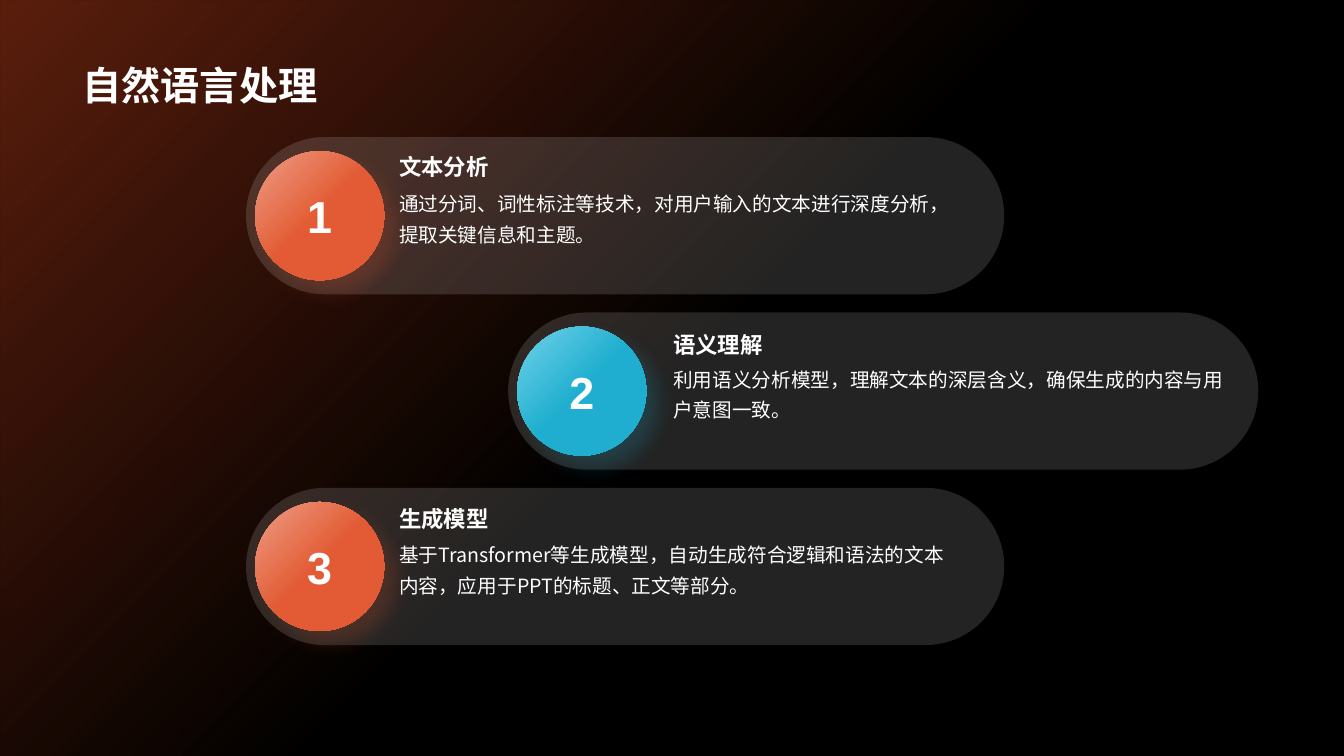
from lxml.etree import SubElement
from pptx import Presentation
from pptx.dml.color import RGBColor
from pptx.enum.shapes import MSO_SHAPE as Shape
from pptx.enum.text import MSO_ANCHOR as Anchor, PP_ALIGN as Align
from pptx.oxml.ns import qn
from pptx.util import Inches, Pt

CJK_FONT = "Noto Sans CJK SC"
ORANGE = ("EE9D85", "E25B34")
BLUE = ("71D3EA", "1FAECF")
STEPS = [
    ("文本分析", "通过分词、词性标注等技术，对用户输入的文本进行深度分析，提取关键信息和主题。",
     ORANGE, 2.44, 7.52, 1.42, 0.11),
    ("语义理解", "利用语义分析模型，理解文本的深层含义，确保生成的内容与用户意图一致。",
     BLUE, 5.04, 7.44, 1.54, 0.14),
    ("生成模型", "基于Transformer等生成模型，自动生成符合逻辑和语法的文本内容，应用于PPT的标题、正文等部分。",
     ORANGE, 2.44, 7.52, 1.42, 0.12),
]
FIRST_TOP, PITCH, PILL_HEIGHT = 1.36, 1.74, 1.56
CIRCLE_SIZE, CIRCLE_LEFT = 1.28, 0.09


def color(value):
    return RGBColor.from_string(value)


def add_color(parent, value, opacity=100):
    element = SubElement(parent, qn("a:srgbClr"), val=value)
    if opacity < 100:
        SubElement(element, qn("a:alpha"), val=str(opacity * 1000))


def add_plain_shape(slide, kind, left, top, width, height):
    shape = slide.shapes.add_shape(
        kind, Inches(left), Inches(top), Inches(width), Inches(height))
    shape.shadow.inherit = False
    shape.line.fill.background()
    return shape


def fill_gradient(shape, *stops):
    shape.fill.gradient()
    shape.fill.gradient_angle = 315
    stop_list = shape.fill._fill._gradFill.find(qn("a:gsLst"))
    for old_stop in list(stop_list):
        stop_list.remove(old_stop)
    for position, value, opacity in stops:
        stop = SubElement(stop_list, qn("a:gs"), pos=str(position * 1000))
        add_color(stop, value, opacity)


def add_glow(shape, value):
    effects = shape._element.spPr.find(qn("a:effectLst"))
    shadow = SubElement(
        effects, qn("a:outerShdw"), blurRad=str(Pt(14)), dist=str(Pt(12)),
        dir="2700000", algn="tl", rotWithShape="0")
    add_color(shadow, value, 20)


def style_text(paragraph, text, size, font_name, bold=False):
    paragraph.text = text
    font = paragraph.font
    font.size, font.bold, font.name = Pt(size), bold, font_name
    font.color.rgb = color("FFFFFF")
    defaults = paragraph._p.pPr.find(qn("a:defRPr"))
    SubElement(defaults, qn("a:ea"), typeface=font_name)


def add_text(slide, text, left, top, width, height, size, bold=False,
             anchor=Anchor.TOP, line_spacing=None):
    box = slide.shapes.add_textbox(
        Inches(left), Inches(top), Inches(width), Inches(height))
    box.text_frame.word_wrap = True
    box.text_frame.vertical_anchor = anchor
    paragraph = box.text_frame.paragraphs[0]
    paragraph.line_spacing = line_spacing
    style_text(paragraph, text, size, CJK_FONT, bold)


def add_backdrop(slide, width, height):
    slide.background.fill.solid()
    slide.background.fill.fore_color.rgb = color("000000")
    backdrop = add_plain_shape(slide, Shape.RECTANGLE, 0, 0, width, height)
    fill_gradient(backdrop, (0, "B63D1A", 50), (50, "B63D1A", 0))


def add_number_circle(slide, number, colors, left, top, size):
    light, dark = colors
    circle = add_plain_shape(slide, Shape.OVAL, left, top, size, size)
    fill_gradient(circle, (0, light, 100), (50, dark, 100))
    add_glow(circle, dark)
    circle.text_frame.vertical_anchor = Anchor.MIDDLE
    paragraph = circle.text_frame.paragraphs[0]
    paragraph.alignment = Align.CENTER
    style_text(paragraph, str(number), 32, "Arial", True)


def add_step(slide, number, step, top):
    heading, body, colors, left, width, text_left, heading_top = step
    pill = add_plain_shape(
        slide, Shape.ROUNDED_RECTANGLE, left, top, width, PILL_HEIGHT)
    pill.adjustments[0] = 0.5
    pill.fill.solid()
    pill.fill.fore_color.rgb = color("F0F0F0")
    pill_color = pill._element.spPr.find(qn("a:solidFill"))[0]
    SubElement(pill_color, qn("a:alpha"), val="15000")
    add_number_circle(slide, number, colors, left + CIRCLE_LEFT,
                      top + (PILL_HEIGHT - CIRCLE_SIZE) / 2, CIRCLE_SIZE)
    add_text(slide, body, left + text_left, top + 0.43, 5.76, 0.44, 14,
             line_spacing=1.3)
    add_text(slide, heading, left + text_left, top + heading_top, 5.76, 0.37,
             16, bold=True)


def main():
    presentation = Presentation()
    presentation.slide_width = Inches(13.33)
    presentation.slide_height = Inches(7.5)
    slide = presentation.slides.add_slide(presentation.slide_layouts[6])
    add_backdrop(slide, 13.33, 7.5)
    add_text(slide, "自然语言处理", 0.72, 0, 11.88, 1.12, 28, bold=True,
             anchor=Anchor.BOTTOM)
    for index, step in enumerate(STEPS):
        add_step(slide, index + 1, step, FIRST_TOP + index * PITCH)
    presentation.save("out.pptx")


if __name__ == "__main__":
    main()
